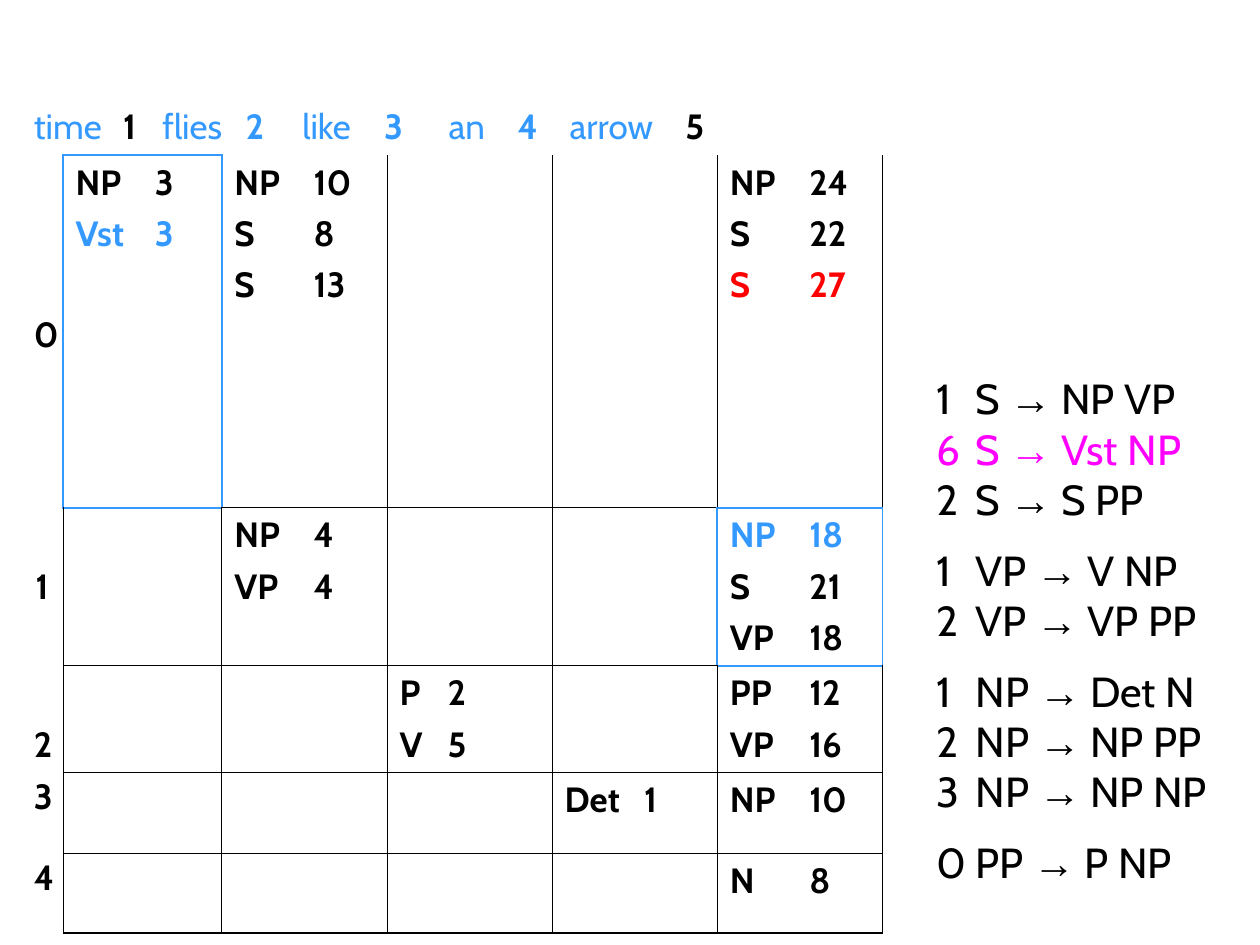
from lxml.etree import SubElement
from pptx import Presentation
from pptx.dml.color import RGBColor
from pptx.enum.text import PP_ALIGN
from pptx.oxml.ns import qn
from pptx.util import Cm, Pt

BLACK, BLUE, RED, MAGENTA = "000000", "3399FF", "FF0000", "FF00FF"
THIN, THICK = 0.45, 1.08

COLUMN_WIDTHS = [0.84, 3.2] + [3.33] * 4
ROW_HEIGHTS = [1.09, 7.11, 3.15, 2.13, 1.63, 1.6]
HIGHLIGHTS = {(1, 1), (2, 5)}
SIDES = {"lnL": (0, -1), "lnR": (0, 1), "lnT": (-1, 0), "lnB": (1, 0)}

SENTENCE = [
    ("time", BLUE, False, 0),
    ("1", BLACK, True, 1.8),
    ("flies", BLUE, False, 2.59),
    ("2", BLUE, True, 4.27),
    ("like", BLUE, False, 5.41),
    ("3", BLUE, True, 7.06),
    ("an", BLUE, False, 8.36),
    ("4", BLUE, True, 9.75),
    ("arrow", BLUE, False, 10.8),
    ("5", BLACK, True, 13.13),
]
ROW_LABELS = [("0", 1), ("1", 2.2), ("2", 2.2), ("3", 0.9), ("4", 0.9)]
ENTRIES = {
    (1, 1): [("NP", 3, BLACK), ("Vst", 3, BLUE)],
    (1, 2): [("NP", 10, BLACK), ("S", 8, BLACK), ("S", 13, BLACK)],
    (1, 5): [("NP", 24, BLACK), ("S", 22, BLACK), ("S", 27, RED)],
    (2, 2): [("NP", 4, BLACK), ("VP", 4, BLACK)],
    (2, 5): [("NP", 18, BLUE), ("S", 21, BLACK), ("VP", 18, BLACK)],
    (3, 3): [("P", 2, BLACK), ("V", 5, BLACK)],
    (3, 5): [("PP", 12, BLACK), ("VP", 16, BLACK)],
    (4, 4): [("Det", 1, BLACK)],
    (4, 5): [("NP", 10, BLACK)],
    (5, 5): [("N", 8, BLACK)],
}
GRAMMAR = [
    [(1, "S", "NP VP"), (6, "S", "Vst NP"), (2, "S", "S PP")],
    [(1, "VP", "V NP"), (2, "VP", "VP PP")],
    [(1, "NP", "Det N"), (2, "NP", "NP PP"), (3, "NP", "NP NP")],
    [(0, "PP", "P NP")],
]


def color(value):
    return RGBColor.from_string(value)


def set_tabs(para, positions):
    tab_list = SubElement(para._p.get_or_add_pPr(), qn("a:tabLst"))
    for position in positions:
        SubElement(tab_list, qn("a:tab"), pos=str(Cm(position)), algn="l")


def set_font(para, size, value=BLACK, bold=False):
    para.font.name = "Cabin"
    para.font.size = Pt(size)
    para.font.bold = bold
    para.font.color.rgb = color(value)


def next_paragraph(frame, index):
    return frame.add_paragraph() if index else frame.paragraphs[0]


def is_chart_cell(place):
    row, column = place
    return 1 <= row < len(ROW_HEIGHTS) and 1 <= column < len(COLUMN_WIDTHS)


def edge_style(place, neighbour):
    if HIGHLIGHTS & {place, neighbour}:
        return BLUE, THICK
    inside = [spot for spot in (place, neighbour) if is_chart_cell(spot)]
    if not inside or 0 in (place[0], neighbour[0]):
        return None
    at_rim = neighbour[0] == len(ROW_HEIGHTS) or neighbour[1] == len(COLUMN_WIDTHS)
    return BLACK, THICK if at_rim else THIN


def set_borders(cell, place):
    properties = cell._tc.get_or_add_tcPr()
    for side, (down, across) in SIDES.items():
        style = edge_style(place, (place[0] + down, place[1] + across))
        line = SubElement(properties, qn(f"a:{side}"))
        if style:
            line.set("w", str(Pt(style[1])))
            fill = SubElement(line, qn("a:solidFill"))
            SubElement(fill, qn("a:srgbClr"), val=style[0])
        else:
            SubElement(line, qn("a:noFill"))


def write_sentence(cell):
    para = cell.text_frame.paragraphs[0]
    set_tabs(para, [position for _, _, _, position in SENTENCE[1:]])
    set_font(para, 20)
    for index, (word, value, bold, _) in enumerate(SENTENCE):
        span = para.add_run()
        span.text = f"\t{word}" if index else word
        span.font.bold = bold
        span.font.color.rgb = color(value)


def write_label(cell, text, spacing):
    para = cell.text_frame.paragraphs[0]
    para.text = text
    para.alignment = PP_ALIGN.CENTER
    para.line_spacing = spacing
    set_font(para, 20, bold=True)


def write_entries(cell, entries, tab):
    for index, (symbol, weight, value) in enumerate(entries):
        para = next_paragraph(cell.text_frame, index)
        para.text = f"{symbol}\t{weight}"
        set_tabs(para, [tab])
        para.space_before = Pt(5 if index else 0)
        set_font(para, 20, value, True)


def add_parse_chart(page, left, top):
    table = page.shapes.add_table(
        len(ROW_HEIGHTS), len(COLUMN_WIDTHS), Cm(left), Cm(top),
        Cm(sum(COLUMN_WIDTHS)), Cm(sum(ROW_HEIGHTS)),
    ).table
    table.first_row = table.horz_banding = False
    for column, width in zip(table.columns, COLUMN_WIDTHS):
        column.width = Cm(width)
    for row_index, height in enumerate(ROW_HEIGHTS):
        table.rows[row_index].height = Cm(height)
        for column_index in range(len(COLUMN_WIDTHS)):
            cell = table.cell(row_index, column_index)
            set_borders(cell, (row_index, column_index))
            cell.fill.background()
    table.cell(0, 0).merge(table.cell(0, len(COLUMN_WIDTHS) - 1))
    write_sentence(table.cell(0, 0))
    for row_index, (text, spacing) in enumerate(ROW_LABELS, 1):
        write_label(table.cell(row_index, 0), text, spacing)
    table.cell(1, 0).margin_top = Cm(3.2)
    for place, entries in ENTRIES.items():
        write_entries(table.cell(*place), entries, 0.97 if place == (3, 3) else 1.6)


def add_grammar(page, left, top, width, height):
    frame = page.shapes.add_textbox(Cm(left), Cm(top), Cm(width), Cm(height)).text_frame
    frame.word_wrap = True
    rules = [(group, rule) for group in GRAMMAR for rule in group]
    for index, (group, rule) in enumerate(rules):
        weight, symbol, expansion = rule
        para = next_paragraph(frame, index)
        set_tabs(para, [0.8])
        if index and rule == group[0]:
            para.line_spacing = 1.4
        set_font(para, 24, MAGENTA if weight == 6 else BLACK)
        for text in (f"{weight}\t{symbol} ", "→", f" {expansion}"):
            span = para.add_run()
            span.text = text
            span.font.name = "Arial" if text == "→" else "Cabin"


def main():
    deck = Presentation()
    deck.slide_width, deck.slide_height = Cm(25.4), Cm(19.05)
    page = deck.slides.add_slide(deck.slide_layouts[6])
    add_parse_chart(page, 0.43, 2.01)
    add_grammar(page, 18.62, 7.39, 6.78, 10.62)
    deck.save("out.pptx")


if __name__ == "__main__":
    main()
